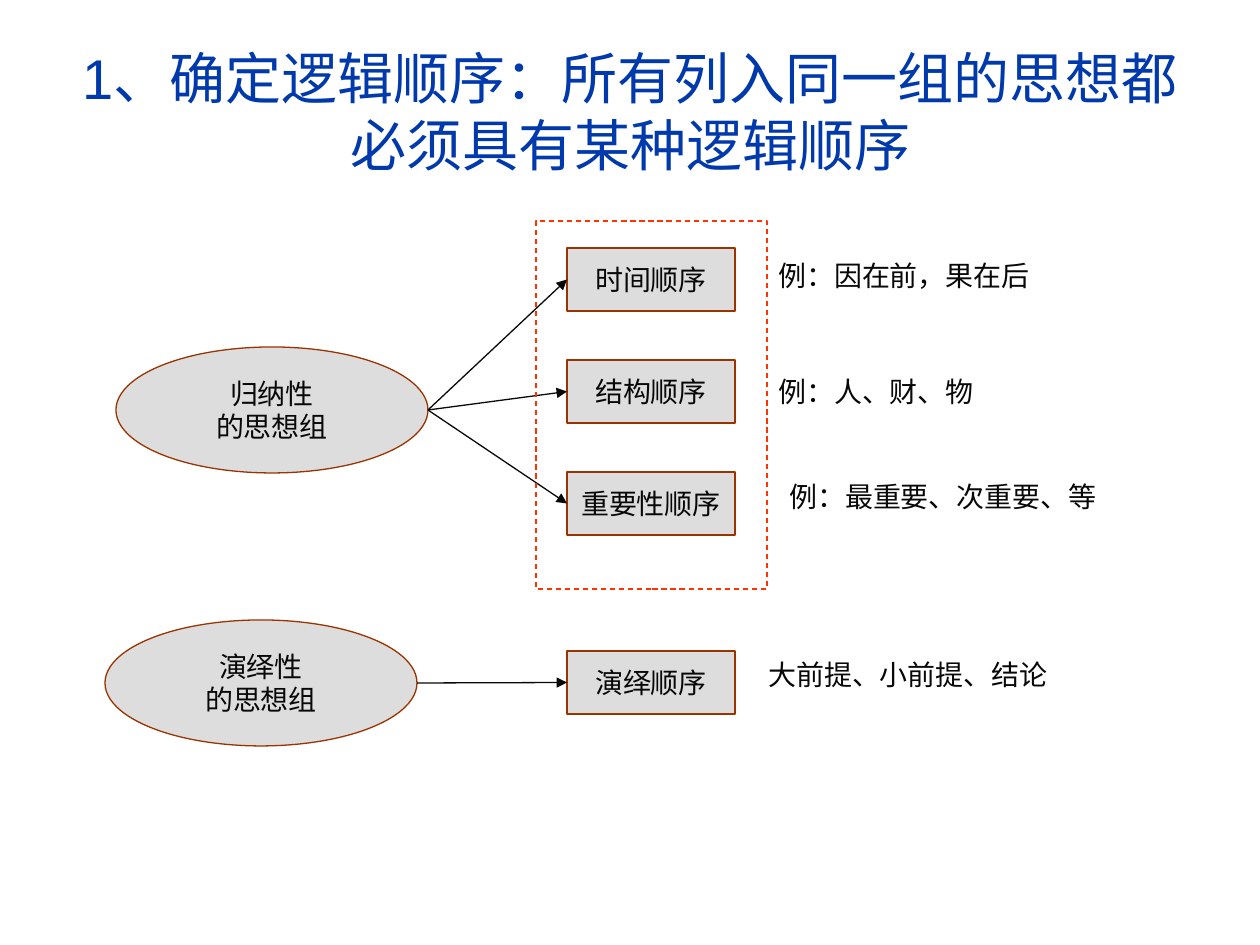
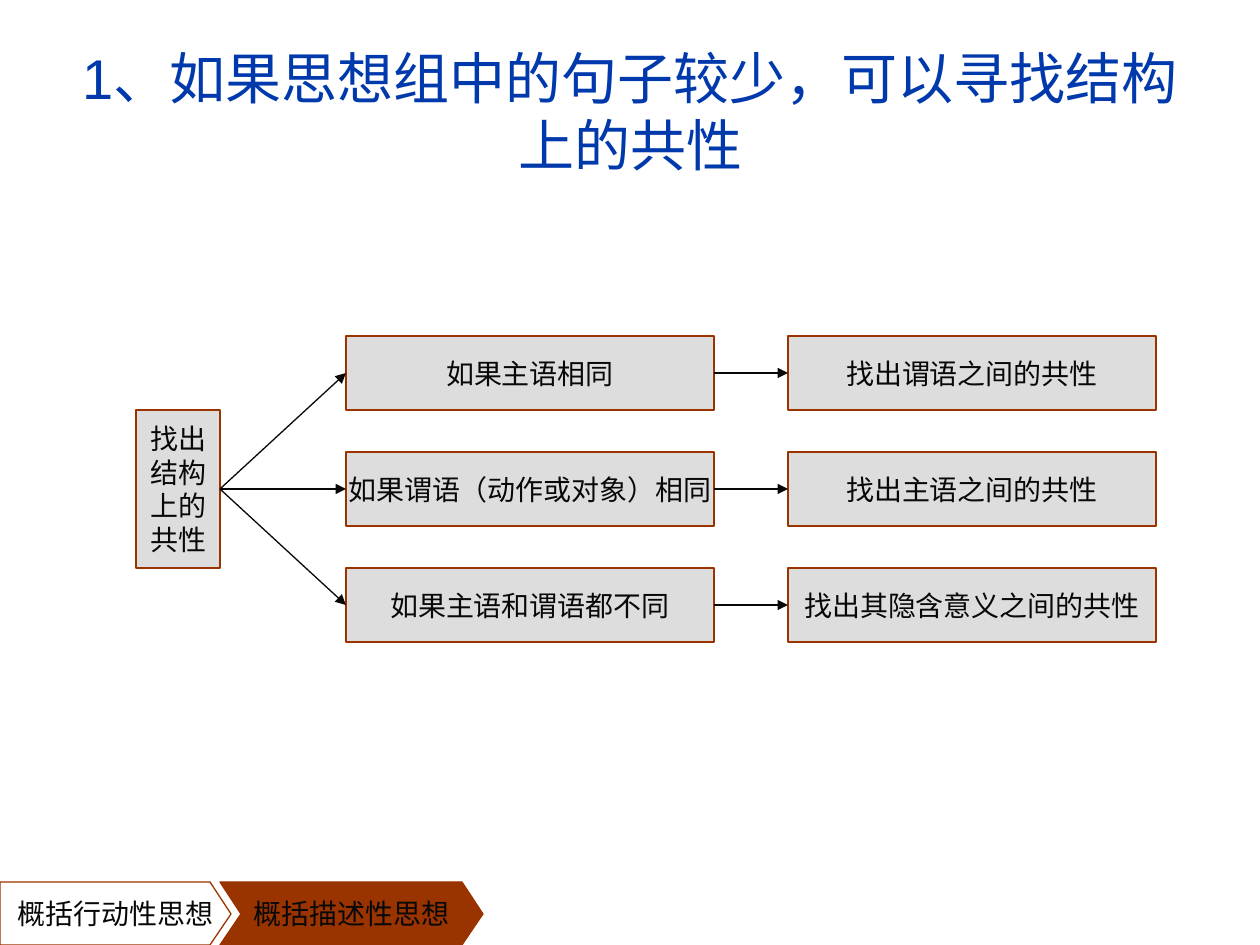
from dataclasses import dataclass

from lxml import etree
from pptx import Presentation
from pptx.dml.color import RGBColor
from pptx.enum.dml import MSO_LINE
from pptx.enum.shapes import MSO_CONNECTOR, MSO_SHAPE
from pptx.enum.text import MSO_ANCHOR, MSO_AUTO_SIZE, PP_ALIGN
from pptx.oxml.ns import qn
from pptx.util import Emu, Pt

RECT, ELLIPSE = MSO_SHAPE.RECTANGLE, MSO_SHAPE.OVAL
STRAIGHT = MSO_CONNECTOR.STRAIGHT
MIDDLE, TOP = MSO_ANCHOR.MIDDLE, MSO_ANCHOR.TOP
CENTER, LEFT = PP_ALIGN.CENTER, PP_ALIGN.LEFT
NO_FIT, GROW = MSO_AUTO_SIZE.NONE, MSO_AUTO_SIZE.SHAPE_TO_FIT_TEXT
DASH = MSO_LINE.DASH
TITLE_ONLY = 5


@dataclass(frozen=True)
class Theme:
    title: RGBColor = RGBColor(0x00, 0x39, 0xAC)
    ink: RGBColor = RGBColor(0x08, 0x08, 0x08)
    box: RGBColor = RGBColor(0xDD, 0xDD, 0xDD)
    edge: RGBColor = RGBColor(0x99, 0x33, 0x00)
    frame: RGBColor = RGBColor(0xFF, 0x33, 0x00)
    title_font: str = "Arial"
    body_font: str = "Times New Roman"
    title_size: Pt = Pt(32)
    body_size: Pt = Pt(16)
    line: Pt = Pt(0.75)


THEME = Theme()


def px(n):
    return Emu(round(n * 914400 / 126))


def write(sp, text, align=CENTER, anchor=MIDDLE, wrap=False, fit=NO_FIT,
          font=THEME.body_font, size=THEME.body_size, color=THEME.ink):
    tf = sp.text_frame
    tf.text = text
    tf.word_wrap, tf.auto_size, tf.vertical_anchor = wrap, fit, anchor
    for p in tf.paragraphs:
        p.alignment = align
        p.font.name, p.font.size = font, size
        p.font.color.rgb = color


def paint(sp, fill, edge=THEME.edge):
    sp.shadow.inherit = False
    if fill is None:
        sp.fill.background()
    else:
        sp.fill.solid()
        sp.fill.fore_color.rgb = fill
    sp.line.color.rgb = edge
    sp.line.width = THEME.line


def add_slide(prs, title):
    s = prs.slides.add_slide(prs.slide_layouts[TITLE_ONLY])
    sp = s.shapes.title
    sp.left, sp.top, sp.width, sp.height = map(px, (42, 32, 1177, 158))
    write(sp, title, wrap=True, font=THEME.title_font,
          size=THEME.title_size, color=THEME.title)
    return s


def add_node(s, kind, text, x, y, w, h, wrap=False):
    sp = s.shapes.add_shape(kind, *map(px, (x, y, w, h)))
    paint(sp, THEME.box)
    write(sp, text, wrap=wrap)
    return sp


def add_example(s, text, x, y, w):
    sp = s.shapes.add_textbox(*map(px, (x, y, w, 47)))
    write(sp, text, align=LEFT, anchor=TOP, wrap=True, fit=GROW)


def add_frame(s, x, y, w, h):
    sp = s.shapes.add_shape(RECT, *map(px, (x, y, w, h)))
    paint(sp, None, THEME.frame)
    sp.line.dash_style = DASH


def add_arrow(s, source, target):
    """Run from the middle of the source's right side to the target's left."""
    cxn = s.shapes.add_connector(
        STRAIGHT, source.left + source.width, source.top + source.height // 2,
        target.left, target.top + target.height // 2)
    cxn.line.color.rgb = THEME.ink
    cxn.line.width = THEME.line
    etree.SubElement(cxn.line._get_or_add_ln(), qn("a:tailEnd"), type="triangle")
    etree.SubElement(cxn._element.spPr, qn("a:effectLst"))


def add_step(s, text, x, w, notch=0, fill=None):
    """Draw a pointed step of the bar along the bottom edge."""
    top, middle, bottom, point = 882, 914, 945, 21
    shoulder = x + w - point
    outline = [(shoulder, top), (x + w, middle), (shoulder, bottom), (x, bottom)]
    if notch:
        outline.append((x + notch, middle))
    builder = s.shapes.build_freeform(x, top, scale=px(1))
    builder.add_line_segments(outline, close=True)
    sp = builder.convert_to_shape()
    paint(sp, fill)
    write(sp, text)


def build_logical_order(prs):
    s = add_slide(prs, "1、确定逻辑顺序：所有列入同一组的思想都必须具有某种逻辑顺序")

    def add_group(text, x, y):
        return add_node(s, ELLIPSE, text, x, y, 312, 126)

    def add_order(group, text, y):
        add_arrow(s, group, add_node(s, RECT, text, 567, y, 168, 63))

    deductive = add_group("演绎性\n的思想组", 105, 620)
    add_order(deductive, "演绎顺序", 651)
    add_example(s, "大前提、小前提、结论", 756, 651, 347)

    inductive = add_group("归纳性\n的思想组", 116, 347)
    for i, order in enumerate(("时间顺序", "结构顺序", "重要性顺序")):
        add_order(inductive, order, 248 + 112 * i)
    add_example(s, "例：因在前，果在后", 766, 252, 305)
    add_example(s, "例：人、财、物", 766, 368, 315)
    add_example(s, "例：最重要、次重要、等", 777, 473, 336)
    add_frame(s, 536, 221, 231, 368)


def build_structural_similarity(prs):
    s = add_slide(prs, "1、如果思想组中的句子较少，可以寻找结构上的共性")
    add_step(s, "概括行动性思想", 0, 231)
    add_step(s, "概括描述性思想", 220, 263, notch=21, fill=THEME.edge)

    root = add_node(s, RECT, "找出结构上的共性", 136, 410, 84, 158, wrap=True)
    w, h, gap = 368, 74, 42
    rules = (
        ("如果主语相同", "找出谓语之间的共性"),
        ("如果谓语（动作或对象）相同", "找出主语之间的共性"),
        ("如果主语和谓语都不同", "找出其隐含意义之间的共性"),
    )
    for i, (condition, action) in enumerate(rules):
        y = 336 + i * (h + gap)
        case = add_node(s, RECT, condition, 346, y, w, h)
        task = add_node(s, RECT, action, 788, y, w, h)
        add_arrow(s, root, case)
        add_arrow(s, case, task)


def main():
    prs = Presentation()
    prs.slide_width, prs.slide_height = px(1260), px(945)
    build_logical_order(prs)
    build_structural_similarity(prs)
    prs.save("out.pptx")


if __name__ == "__main__":
    main()
